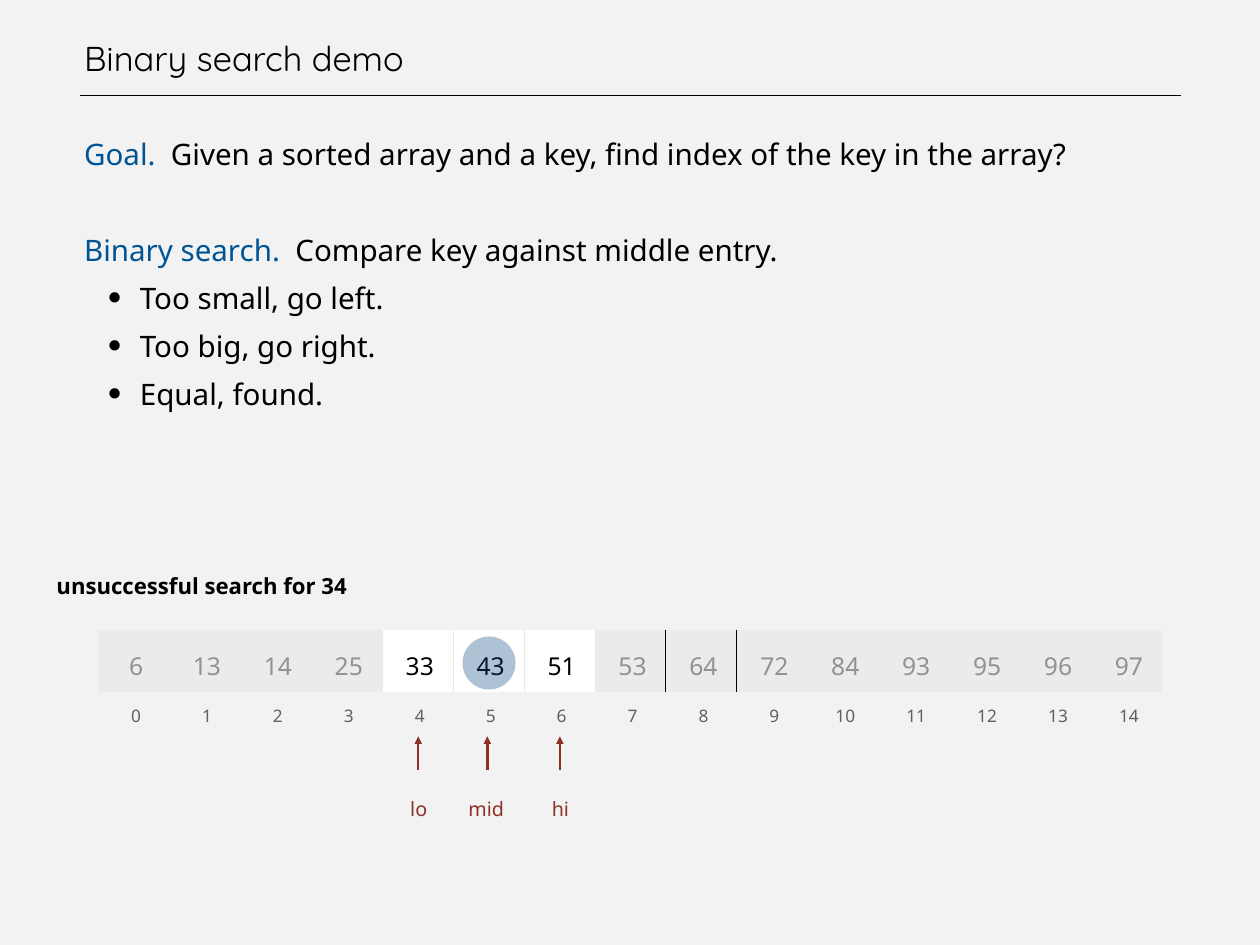
from dataclasses import dataclass
from typing import Any

from lxml import etree
from pptx import Presentation
from pptx.dml.color import RGBColor
from pptx.enum.shapes import MSO_CONNECTOR, MSO_SHAPE
from pptx.enum.text import MSO_ANCHOR, MSO_AUTO_SIZE, PP_ALIGN
from pptx.oxml.ns import qn
from pptx.util import Cm, Pt

LEFT, CENTER = PP_ALIGN.LEFT, PP_ALIGN.CENTER
TOP, MIDDLE, BOTTOM = MSO_ANCHOR.TOP, MSO_ANCHOR.MIDDLE, MSO_ANCHOR.BOTTOM
FIXED = MSO_AUTO_SIZE.NONE
STRAIGHT, OVAL = MSO_CONNECTOR.STRAIGHT, MSO_SHAPE.OVAL
PLAIN_TABLE_STYLE = "{2D5ABB26-0587-4C30-8999-92F81FD0307C}"


@dataclass(frozen=True)
class Theme:
    title_font: str = "Quicksand"
    body_font: str = "Noto Sans"
    background: str = "F2F2F2"
    ink: str = "000000"
    keyword: str = "005493"
    pointer: str = "8D3124"
    active_fill: str = "FFFFFF"
    discarded_fill: str = "EBEBEB"
    discarded_ink: str = "929292"
    index_ink: str = "606060"
    separator: str = "E7EAEB"
    highlight: str = "0C4681"
    title_size: int = 28
    body_size: int = 24
    entry_size: int = 20
    caption_size: int = 18
    pointer_size: int = 16
    index_size: int = 14


@dataclass(frozen=True)
class Statement:
    keyword: str
    text: str
    space_before: int = 0


@dataclass(frozen=True)
class Pointer:
    label: str
    label_left: float
    arrow_x: float


THEME = Theme()
STATEMENTS = [
    Statement("Goal. ", " Given a sorted array and a key, find index of the key in the array?"),
    Statement("Binary search. ", " Compare key against middle entry.", 39),
]
OUTCOMES = ["Too small, go left.", "Too big, go right.", "Equal, found."]
ENTRIES = [6, 13, 14, 25, 33, 43, 51, 53, 64, 72, 84, 93, 95, 96, 97]
LO, HI = 4, 6
DARK_EDGES = {8, 9}
POINTERS = [
    Pointer("lo", 11.46, 11.99),
    Pointer("mid", 13.13, 13.97),
    Pointer("hi", 15.52, 16.05),
]


def apply(target: Any, values: dict[str, Any]) -> None:
    for attribute, value in values.items():
        setattr(target, attribute, value)


def place(shape: Any, left: float, top: float, width: float, height: float) -> None:
    apply(shape, {"left": Cm(left), "top": Cm(top), "width": Cm(width), "height": Cm(height)})


def format_frame(frame: Any, inset: float, anchor: Any) -> None:
    sides = ("left", "right", "top", "bottom")
    apply(frame, {f"margin_{side}": Cm(inset) for side in sides})
    apply(frame, {"vertical_anchor": anchor, "auto_size": FIXED, "word_wrap": True})


def add_run(paragraph: Any, text: str, size: int, color: str,
            font: str = THEME.body_font, bold: bool = False) -> None:
    run = paragraph.add_run()
    run.text = text
    apply(run.font, {"name": font, "size": Pt(size), "bold": bold})
    run.font.color.rgb = RGBColor.from_string(color)


def format_paragraph(paragraph: Any, line_spacing: Any, margin: float = 0.15,
                     indent: float = 0, align: Any = LEFT, before: int = 0) -> Any:
    """Set spacing and indents; return the properties element for bullets."""
    apply(paragraph, {"alignment": align, "line_spacing": line_spacing,
                      "space_before": Pt(before), "space_after": Pt(0)})
    properties = paragraph._p.get_or_add_pPr()
    properties.set("marL", str(Cm(margin)))
    properties.set("indent", str(Cm(indent)))
    return properties


def add_child(parent: Any, tag: str, **attributes: str) -> Any:
    return etree.SubElement(parent, qn(tag), attributes)


def add_line(slide: Any, start: tuple[float, float], end: tuple[float, float],
             color: str, width: float) -> Any:
    line = slide.shapes.add_connector(STRAIGHT, *map(Cm, start + end))
    line.line.color.rgb = RGBColor.from_string(color)
    line.line.width = Pt(width)
    add_child(line.element.spPr, "a:effectLst")
    return line


def add_label(slide: Any, text: str, left: float, top: float, width: float,
              size: int, color: str, bold: bool = False) -> None:
    frame = slide.shapes.add_textbox(*map(Cm, (left, top, width, 1.4))).text_frame
    format_frame(frame, 0.15, TOP)
    format_paragraph(frame.paragraphs[0], 1.5)
    add_run(frame.paragraphs[0], text, size, color, bold=bold)


def fill_title(title: Any) -> None:
    place(title, 2.26, 0, 31.6, 2.26)
    format_frame(title.text_frame, 0, BOTTOM)
    heading = title.text_frame.paragraphs[0]
    format_paragraph(heading, 1.0)
    add_run(heading, "Binary search demo", THEME.title_size, THEME.ink, THEME.title_font)


def fill_body(body: Any) -> None:
    place(body, 2.26, 3.53, 31.6, 22.58)
    frame = body.text_frame
    format_frame(frame, 0, TOP)
    for number, statement in enumerate(STATEMENTS):
        paragraph = frame.add_paragraph() if number else frame.paragraphs[0]
        properties = format_paragraph(paragraph, Pt(39), before=statement.space_before)
        add_child(properties, "a:buNone")
        add_run(paragraph, statement.keyword, THEME.body_size, THEME.keyword)
        add_run(paragraph, statement.text, THEME.body_size, THEME.ink)
    for outcome in OUTCOMES:
        paragraph = frame.add_paragraph()
        paragraph.level = 1
        properties = format_paragraph(paragraph, Pt(39), 1.75, -1.42)
        add_child(add_child(properties, "a:buClr"), "a:srgbClr", val=THEME.ink)
        add_child(properties, "a:buSzPct", val="166000")
        add_child(properties, "a:buFont", typeface=THEME.body_font)
        add_child(properties, "a:buChar", char="・")
        add_run(paragraph, outcome, THEME.body_size, THEME.ink)


def set_side_borders(cell: Any, column: int) -> None:
    properties = cell._tc.get_or_add_tcPr()
    for position, (tag, edge) in enumerate((("a:lnL", column), ("a:lnR", column + 1))):
        border = etree.Element(qn(tag), w=str(Pt(0.45)))
        if 0 < edge < len(ENTRIES):
            color = THEME.ink if edge in DARK_EDGES else THEME.separator
            add_child(add_child(border, "a:solidFill"), "a:srgbClr", val=color)
        else:
            add_child(border, "a:noFill")
        properties.insert(position, border)


def fill_cell(cell: Any, value: int, size: int, color: str) -> None:
    apply(cell, {"vertical_anchor": MIDDLE, "margin_left": Cm(0.15), "margin_right": Cm(0.15),
                 "margin_top": Cm(0.13), "margin_bottom": Cm(0.13)})
    paragraph = cell.text_frame.paragraphs[0]
    format_paragraph(paragraph, 1.3, 0.13, align=CENTER)
    add_run(paragraph, str(value), size, color)


def add_sorted_array(slide: Any) -> None:
    frame = slide.shapes.add_table(2, len(ENTRIES), Cm(2.82), Cm(18.06), Cm(30.5), Cm(2.83))
    table = frame.table
    apply(table, {"first_row": False, "horz_banding": False})
    table._tbl.tblPr.find(qn("a:tableStyleId")).text = PLAIN_TABLE_STYLE
    for row, height in zip(table.rows, (1.78, 1.05)):
        row.height = Cm(height)
    for index, entry in enumerate(ENTRIES):
        active = LO <= index <= HI
        entry_cell, index_cell = table.cell(0, index), table.cell(1, index)
        fill_cell(entry_cell, entry, THEME.entry_size,
                  THEME.ink if active else THEME.discarded_ink)
        entry_cell.fill.solid()
        entry_cell.fill.fore_color.rgb = RGBColor.from_string(
            THEME.active_fill if active else THEME.discarded_fill)
        set_side_borders(entry_cell, index)
        fill_cell(index_cell, index, THEME.index_size, THEME.index_ink)
        index_cell.fill.background()


def add_pointer(slide: Any, pointer: Pointer) -> None:
    add_label(slide, pointer.label, pointer.label_left, 22.36, 1.6,
              THEME.pointer_size, THEME.pointer)
    arrow = add_line(slide, (pointer.arrow_x, 21.1), (pointer.arrow_x, 22.07), THEME.pointer, 2)
    add_child(arrow.element.spPr.find(qn("a:ln")), "a:headEnd", type="triangle")


def add_middle_highlight(slide: Any) -> None:
    circle = slide.shapes.add_shape(OVAL, *map(Cm, (13.26, 18.24, 1.52, 1.52)))
    circle.shadow.inherit = False
    circle.line.fill.background()
    circle.fill.solid()
    circle.fill.fore_color.rgb = RGBColor.from_string(THEME.highlight)
    add_child(next(circle.element.spPr.iter(qn("a:srgbClr"))), "a:alpha", val="33000")


def main() -> None:
    presentation = Presentation()
    apply(presentation, {"slide_width": Cm(36.12), "slide_height": Cm(27.08)})
    slide = presentation.slides.add_slide(presentation.slide_layouts[1])
    slide.background.fill.solid()
    slide.background.fill.fore_color.rgb = RGBColor.from_string(THEME.background)
    add_line(slide, (2.29, 2.74), (33.86, 2.74), THEME.ink, 1)
    fill_title(slide.shapes.title)
    fill_body(slide.placeholders[1])
    add_sorted_array(slide)
    for pointer in POINTERS:
        add_pointer(slide, pointer)
    add_middle_highlight(slide)
    add_label(slide, "unsuccessful search for 34", 1.32, 15.88, 9.2,
              THEME.caption_size, THEME.ink, bold=True)
    presentation.save("out.pptx")


if __name__ == "__main__":
    main()
